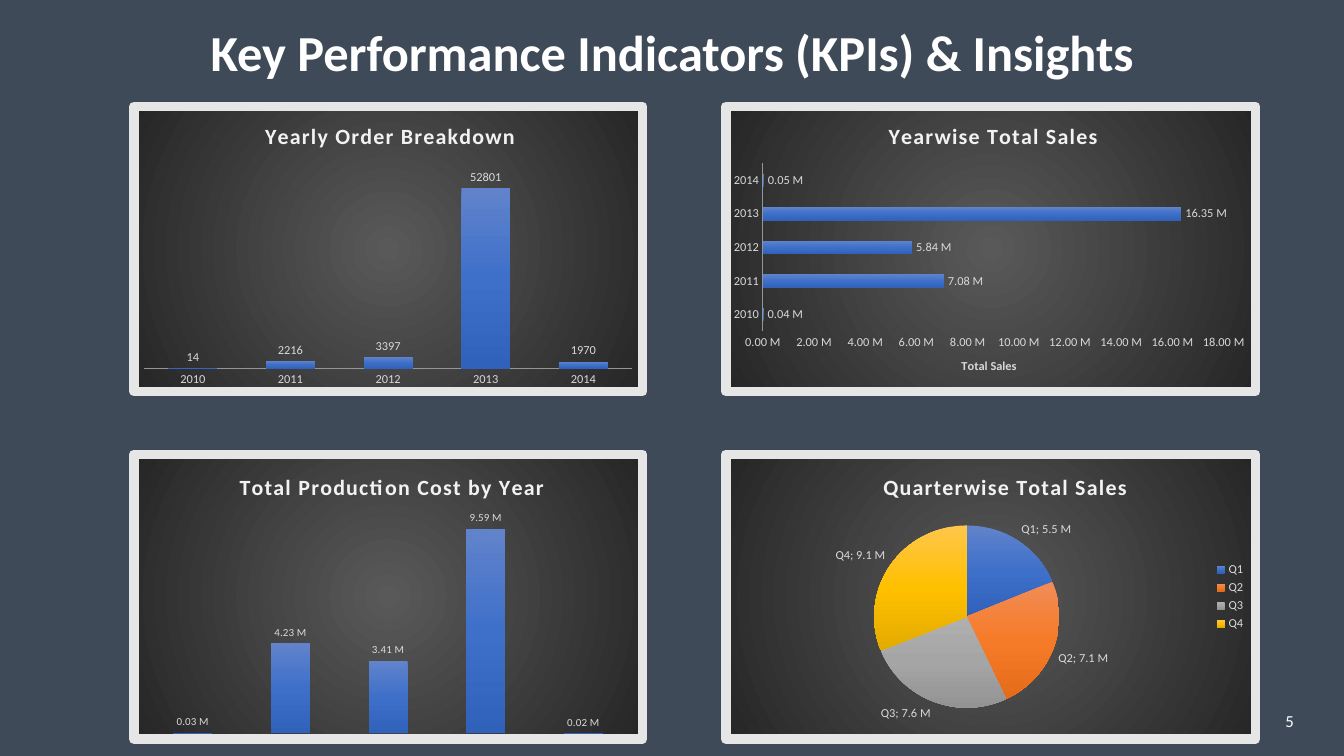
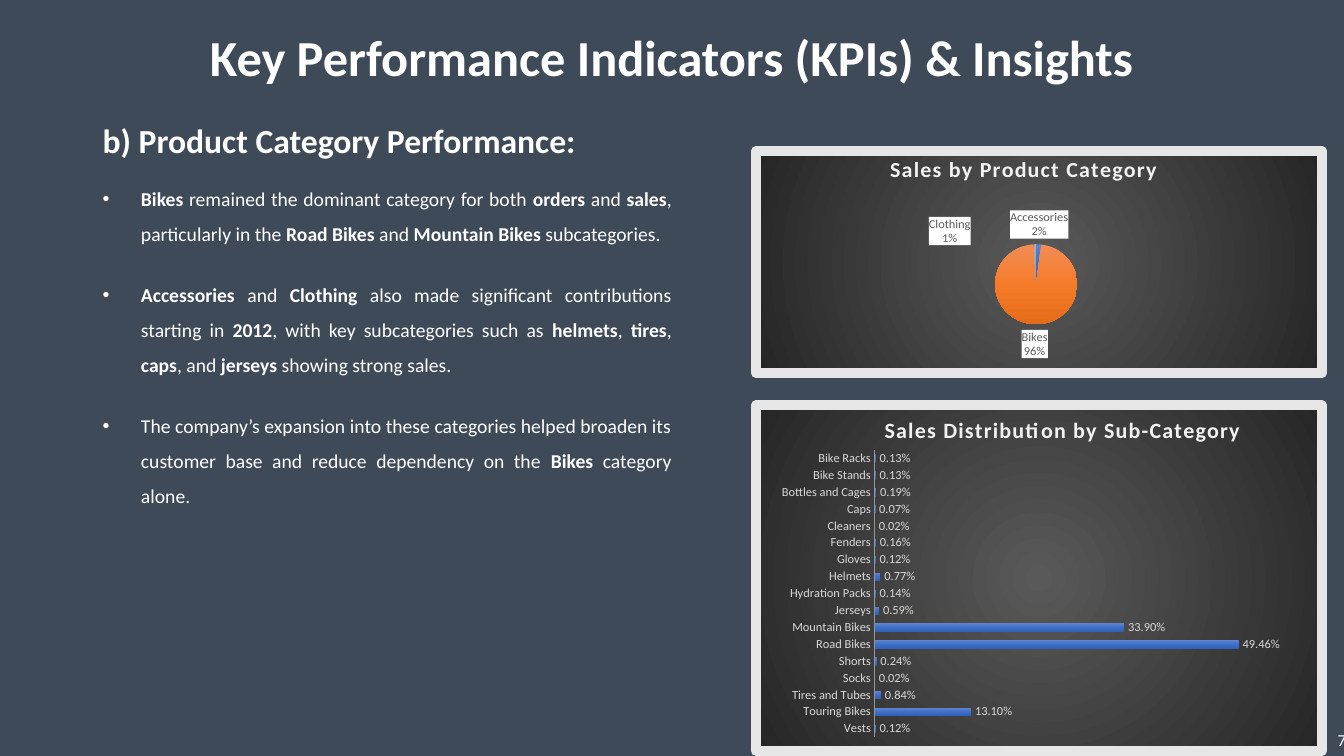
from copy import deepcopy

from pptx import Presentation
from pptx.chart.data import CategoryChartData
from pptx.dml.color import RGBColor
from pptx.enum.chart import XL_CHART_TYPE, XL_LABEL_POSITION, XL_LEGEND_POSITION, XL_TICK_MARK
from pptx.enum.text import MSO_ANCHOR, MSO_AUTO_SIZE, PP_ALIGN
from pptx.oxml import parse_xml
from pptx.oxml.ns import nsdecls, qn
from pptx.util import Inches, Pt

WHITE = RGBColor(0xFF, 0xFF, 0xFF)
SLATE = RGBColor(0x3F, 0x4A, 0x59)
PALE = RGBColor(0xF2, 0xF2, 0xF2)
SILVER = RGBColor(0xD9, 0xD9, 0xD9)
FRAME = RGBColor(0xE7, 0xE6, 0xE6)
AXIS = RGBColor(0x95, 0x95, 0x95)
CHARCOAL = RGBColor(0x59, 0x59, 0x59)
NIGHT = RGBColor(0x26, 0x26, 0x26)
BLUE = (RGBColor(0x61, 0x83, 0xCB), RGBColor(0x3E, 0x70, 0xCA), RGBColor(0x30, 0x62, 0xBB))
ORANGE = (RGBColor(0xF1, 0x8C, 0x57), RGBColor(0xF6, 0x7B, 0x28), RGBColor(0xE5, 0x6C, 0x19))
GREY = (RGBColor(0xAF, 0xAF, 0xAF), RGBColor(0xA5, 0xA5, 0xA5), RGBColor(0x93, 0x93, 0x93))
GOLD = (RGBColor(0xFF, 0xC6, 0x4B), RGBColor(0xFF, 0xC0, 0x00), RGBColor(0xE3, 0xAB, 0x00))
SLICES = (BLUE, ORANGE, GREY, GOLD)

FONT = "Calibri"
HEADING = "Key Performance Indicators (KPIs) & Insights"
MILLIONS = '#,##0.00,,\\ "M"'
YEARS = ["2010", "2011", "2012", "2013", "2014"]


def assign(target, values):
    for name, value in values.items():
        setattr(target, name, value)


def style_font(font, size, color=WHITE, bold=False):
    assign(font, {"name": FONT, "size": Pt(size), "bold": bold})
    font.color.rgb = color


def gradient(colors, direction):
    last = len(colors) - 1
    stops = "".join(
        f'<a:gs pos="{100000 * index // last}"><a:srgbClr val="{color}"/></a:gs>'
        for index, color in enumerate(colors)
    )
    return f'<a:gradFill {nsdecls("a")}><a:gsLst>{stops}</a:gsLst>{direction}</a:gradFill>'


def shade(element_format, colors):
    fill = gradient(colors, '<a:lin ang="5400000" scaled="0"/>')
    element_format._element.get_or_add_spPr().insert(0, parse_xml(fill))


def place(parent, index, values):
    for old in parent.findall(qn("c:layout")):
        parent.remove(old)
    names = ("x", "y", "w", "h")[:len(values)]
    inner = '<c:layoutTarget val="inner"/>' if len(values) == 4 else ""
    modes = "".join(f'<c:{name}Mode val="edge"/>' for name in names[:2])
    sizes = "".join(f'<c:{name} val="{value}"/>' for name, value in zip(names, values))
    parent.insert(index, parse_xml(
        f'<c:layout {nsdecls("c")}><c:manualLayout>{inner}{modes}{sizes}'
        "</c:manualLayout></c:layout>"))


class KpiDeck:
    def __init__(self):
        self.deck = Presentation()
        assign(self.deck, {"slide_width": Inches(13.33), "slide_height": Inches(7.5)})
        fill = self.deck.slide_master.background.fill
        fill.solid()
        fill.fore_color.rgb = SLATE
        self.page = None

    def add_page(self, area):
        self.page = self.deck.slides.add_slide(self.deck.slide_layouts[5])
        title = self.page.shapes.title
        assign(title, dict(zip(("left", "top", "width", "height"), map(Inches, area))))
        frame = title.text_frame
        assign(frame, {"text": HEADING, "word_wrap": True, "auto_size": MSO_AUTO_SIZE.NONE,
                       "vertical_anchor": MSO_ANCHOR.MIDDLE})
        para = frame.paragraphs[0]
        assign(para, {"alignment": PP_ALIGN.CENTER, "line_spacing": 0.9})
        style_font(para.runs[0].font, 36, bold=True)

    def add_box(self, area):
        frame = self.page.shapes.add_textbox(*map(Inches, area)).text_frame
        frame.word_wrap = True
        return frame

    def add_number(self, area, number):
        frame = self.add_box(area)
        frame.vertical_anchor = MSO_ANCHOR.MIDDLE
        para = frame.paragraphs[0]
        assign(para, {"text": number, "alignment": PP_ALIGN.RIGHT})
        style_font(para.runs[0].font, 12)

    def add_findings(self, area, heading, findings):
        frame = self.add_box(area)
        para = frame.paragraphs[0]
        assign(para, {"text": heading, "line_spacing": 0.9, "space_before": Pt(10)})
        style_font(para.runs[0].font, 24, bold=True)
        for finding in findings:
            para = frame.add_paragraph()
            assign(para, {"alignment": PP_ALIGN.JUSTIFY, "line_spacing": 1.5,
                          "space_before": Pt(10), "space_after": Pt(8)})
            properties = para._p.get_or_add_pPr()
            properties.set("marL", str(Inches(0.38)))
            properties.set("indent", str(-Inches(0.38)))
            properties.append(parse_xml(f'<a:buFont {nsdecls("a")} typeface="Arial"/>'))
            properties.append(parse_xml(f'<a:buChar {nsdecls("a")} char="•"/>'))
            for index, text in enumerate(finding.split("**")):
                if text:
                    span = para.add_run()
                    span.text = text
                    style_font(span.font, 14, bold=index % 2 == 1)

    def add_chart(self, kind, area, title, title_at, plot_at, categories, values):
        data = CategoryChartData()
        data.categories = categories
        data.add_series("Series 1", values)
        chart = self.page.shapes.add_chart(kind, *map(Inches, area), data).chart
        style_font(chart.font, 10)
        assign(chart, {"has_legend": False, "has_title": True})
        para = chart.chart_title.text_frame.paragraphs[0]
        para.text = title
        span = para.runs[0]
        style_font(span.font, 16, PALE, True)
        span.font._element.set("spc", "100")
        place(chart.chart_title._element, 1, title_at)
        space = chart.element
        place(space.chart.plotArea, 0, plot_at)
        circle = ('<a:path path="circle"><a:fillToRect l="50000" t="50000" r="50000" b="50000"/>'
                  "</a:path>")
        space.chart.addnext(parse_xml(
            f'<c:spPr {nsdecls("c", "a")}>{gradient((CHARCOAL, NIGHT), circle)}'
            f'<a:ln w="{Pt(7)}"><a:solidFill><a:srgbClr val="{FRAME}"/></a:solidFill>'
            "<a:round/></a:ln></c:spPr>"))
        return chart

    def add_labels(self, chart, number_format, size=9, color=SILVER):
        labels = chart.plots[0].series[0].data_labels
        assign(labels, {"show_value": True, "number_format": number_format,
                        "number_format_is_linked": False,
                        "position": XL_LABEL_POSITION.OUTSIDE_END})
        style_font(labels.font, size, color)
        return labels

    def add_bars(self, kind, area, title, title_at, plot_at, categories, values, top,
                 number_format="General", gap=150, overlap=0, label_size=9,
                 show_years=True, axis_title=None):
        chart = self.add_chart(kind, area, title, title_at, plot_at, categories, values)
        plot = chart.plots[0]
        assign(plot, {"vary_by_categories": False, "gap_width": gap, "overlap": overlap})
        shade(plot.series[0].format, BLUE)
        self.add_labels(chart, number_format, label_size)
        for axis in (chart.category_axis, chart.value_axis):
            assign(axis, {"has_major_gridlines": False, "major_tick_mark": XL_TICK_MARK.NONE,
                          "minor_tick_mark": XL_TICK_MARK.NONE})
            style_font(axis.tick_labels.font, 9, SILVER)
        line = chart.category_axis.format.line
        line.color.rgb = AXIS
        line.width = Pt(1)
        chart.category_axis.visible = show_years
        scale = chart.value_axis
        assign(scale, {"minimum_scale": 0, "maximum_scale": top, "visible": bool(axis_title)})
        assign(scale.tick_labels, {"number_format": number_format,
                                   "number_format_is_linked": False})
        scale.format.line.fill.background()
        if axis_title:
            para = scale.axis_title.text_frame.paragraphs[0]
            para.text = axis_title
            style_font(para.runs[0].font, 9, SILVER, True)

    def add_pie(self, area, title, title_at, plot_at, categories, values, number_format,
                separator, color=SILVER, legend=False, plate=False, shifted=None):
        chart = self.add_chart(XL_CHART_TYPE.PIE, area, title, title_at, plot_at,
                               categories, values)
        plot = chart.plots[0]
        plot.vary_by_categories = True
        for index, colors in enumerate(SLICES[:len(values)]):
            shade(plot.series[0].points[index].format, colors)
        labels = self.add_labels(chart, number_format, color=color)
        labels.show_category_name = True
        element = labels._element
        for leader in element.findall(qn("c:showLeaderLines")):
            leader.set("val", "0")
        mark = parse_xml(f'<c:separator {nsdecls("c")}/>')
        mark.text = separator
        element.find(qn("c:showBubbleSize")).addnext(mark)
        if plate:
            element.find(qn("c:txPr")).addprevious(parse_xml(
                f'<c:spPr {nsdecls("c", "a")}><a:solidFill><a:srgbClr val="{WHITE}"/>'
                "</a:solidFill></c:spPr>"))
        if shifted:
            index, across, down = shifted
            label = parse_xml(
                f'<c:dLbl {nsdecls("c")}><c:idx val="{index}"/><c:layout><c:manualLayout>'
                f'<c:x val="{across}"/><c:y val="{down}"/></c:manualLayout></c:layout></c:dLbl>')
            for child in element:
                if child.tag != qn("c:showLeaderLines"):
                    label.append(deepcopy(child))
            element.insert(0, label)
        if legend:
            chart.has_legend = True
            assign(chart.legend, {"position": XL_LEGEND_POSITION.RIGHT,
                                  "include_in_layout": False})
            style_font(chart.legend.font, 9, SILVER)


def build_yearly_page(kpi):
    kpi.add_page((0.41, 0.13, 12.52, 0.84))
    left, right = ((1.28, 5.14), (7.15, 5.35))
    upper, lower = 1.01, 4.46

    def cell(column, top):
        return column[0], top, column[1], 2.92

    kpi.add_bars(XL_CHART_TYPE.BAR_CLUSTERED, cell(right, upper), "Yearwise Total Sales",
                 (0.3, 0.04), (0.07, 0.2, 0.87, 0.59), YEARS,
                 [40000, 7080000, 5840000, 16350000, 50000], 18000000, MILLIONS,
                 axis_title="Total Sales")
    kpi.add_bars(XL_CHART_TYPE.COLUMN_CLUSTERED, cell(left, upper), "Yearly Order Breakdown",
                 (0.25, 0.04), (0.02, 0.2, 0.96, 0.72), YEARS,
                 [14, 2216, 3397, 52801, 1970], 60000, gap=100, overlap=-24)
    kpi.add_bars(XL_CHART_TYPE.COLUMN_CLUSTERED, cell(left, lower),
                 "Total Production Cost by Year", (0.2, 0.05), (0.02, 0.23, 0.96, 0.75),
                 ["1", "2", "3", "4", "5"], [30000, 4230000, 3410000, 9590000, 20000],
                 10000000, MILLIONS, overlap=-25, label_size=8, show_years=False)
    kpi.add_pie(cell(right, lower), "Quarterwise Total Sales", (0.29, 0.05),
                (0.28, 0.25, 0.35, 0.64), ["Q1", "Q2", "Q3", "Q4"],
                [5500000, 7100000, 7600000, 9100000], '#,##0.0,,\\ "M"', "; ", legend=True)
    kpi.add_number((9.42, 6.95, 3.51, 0.4), "5")


def build_category_page(kpi):
    kpi.add_page((0, 0, 13.33, 1.19))
    kpi.add_findings((0.92, 1.19, 5.84, 5.89), "b) Product Category Performance:", [
        "**Bikes** remained the dominant category for both **orders** and **sales**, "
        "particularly in the **Road Bikes** and **Mountain Bikes** subcategories.",
        "**Accessories** and **Clothing** also made significant contributions starting in "
        "**2012**, with key subcategories such as **helmets**, **tires**, **caps**, and "
        "**jerseys** showing strong sales.",
        "The company’s expansion into these categories helped broaden its customer base and "
        "reduce dependency on the **Bikes** category alone.",
    ])
    shares = {
        "Vests": 0.0012, "Touring Bikes": 0.131, "Tires and Tubes": 0.0084, "Socks": 0.0002,
        "Shorts": 0.0024, "Road Bikes": 0.4946, "Mountain Bikes": 0.339, "Jerseys": 0.0059,
        "Hydration Packs": 0.0014, "Helmets": 0.0077, "Gloves": 0.0012, "Fenders": 0.0016,
        "Cleaners": 0.0002, "Caps": 0.0007, "Bottles and Cages": 0.0019,
        "Bike Stands": 0.0013, "Bike Racks": 0.0013,
    }
    kpi.add_bars(XL_CHART_TYPE.BAR_CLUSTERED, (7.45, 3.97, 5.71, 3.53),
                 "Sales Distribution by Sub-Category", (0.22, 0.02), (0.21, 0.13, 0.78, 0.83),
                 list(shares), list(shares.values()), 0.6, "0.00%", gap=115, overlap=-20)
    kpi.add_pie((7.45, 1.45, 5.71, 2.3), "Sales by Product Category", (0.23, 0),
                (0.42, 0.42, 0.15, 0.36), ["Accessories", "Bikes", "Clothing"], [2, 96, 1],
                '0"%"', "\n", CHARCOAL, plate=True, shifted=(2, -0.15, 0.03))
    kpi.add_number((10.45, 7.14, 3, 0.4), "7")


def main():
    kpi = KpiDeck()
    build_yearly_page(kpi)
    build_category_page(kpi)
    kpi.deck.save("out.pptx")


if __name__ == "__main__":
    main()
